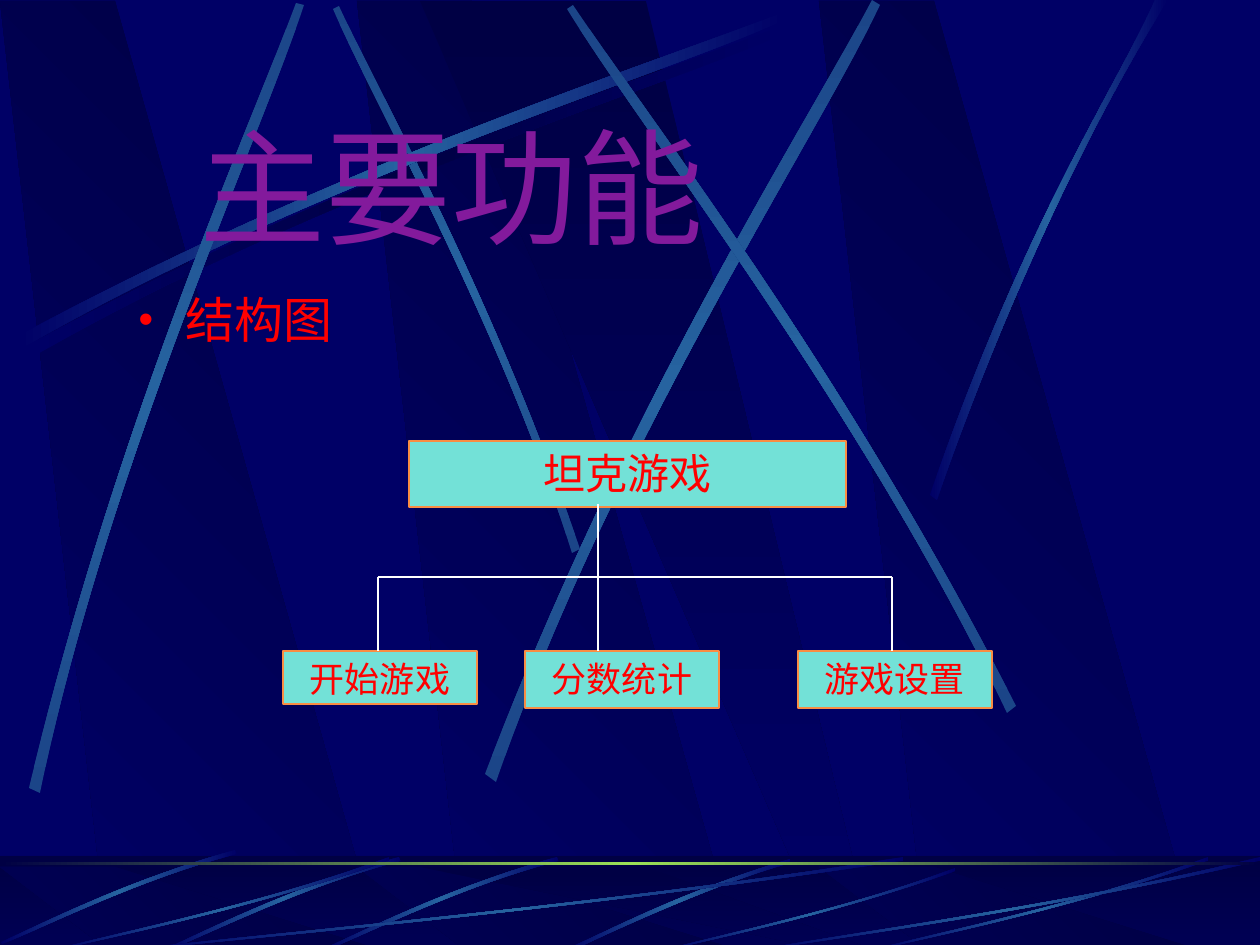
from lxml.etree import SubElement
from pptx import Presentation
from pptx.dml.color import RGBColor
from pptx.enum.shapes import MSO_CONNECTOR as Connector, MSO_SHAPE as Preset
from pptx.enum.text import MSO_ANCHOR as Anchor, MSO_AUTO_SIZE as AutoSize, PP_ALIGN as Align
from pptx.oxml import parse_xml
from pptx.oxml.ns import nsdecls, qn
from pptx.util import Pt

PX = 914400 // 126
WIDTH, HEIGHT = 1260, 945

NAVY = RGBColor(0x00, 0x00, 0x66)
DARK = RGBColor(0x00, 0x00, 0x44)
STEEL = RGBColor(0x26, 0x63, 0xA0)
DIM_STEEL = RGBColor(0x1B, 0x45, 0x88)
LIME = RGBColor(0x9C, 0xE1, 0x57)
PURPLE = RGBColor(0x83, 0x1A, 0x9C)
RED = RGBColor(0xFF, 0x00, 0x00)
AQUA = RGBColor(0x73, 0xE1, 0xD7)
ORANGE = RGBColor(0xF9, 0x8D, 0x43)
WHITE = RGBColor(0xFF, 0xFF, 0xFF)

# A ribbon is two cubic curves: out along one edge, back along the other.
RISING = [(18, 336), (350, 158), (653, 64), (781, 13), (785, 20), (658, 77), (312, 180), (21, 349)]
STEEP = [
    [(580, 549), (493, 295), (381, 97), (339, 6), (333, 9), (372, 100), (501, 325), (572, 553)],
    [(29, 788), (117, 421), (248, 132), (296, 3), (304, 5), (261, 136), (108, 464), (40, 793)],
    [(485, 774), (627, 403), (804, 129), (872, 0), (880, 5), (818, 136), (612, 447), (496, 782)],
    [(1016, 706), (844, 369), (650, 120), (573, 5), (567, 9), (639, 127), (863, 410), (1007, 713)],
]
RIGHT = [(930, 495), (1026, 218), (1119, 83), (1155, 0), (1168, 0), (1053, 183), (969, 406), (937, 500)]
FLOOR_LONG = [(790, 859), (677, 893), (601, 935), (564, 950), (571, 951), (617, 929), (719, 882), (791, 863)]
FLOOR_SHORT = [(557, 857), (447, 888), (362, 932), (323, 949), (324, 951), (363, 936), (460, 886), (559, 861)]
# Fractions of the box that a sweep fills.
SWEEP = [(1, 0.04), (0.57, 0.57), (0.17, 0.85), (0, 1), (0, 0.99), (0.17, 0.82), (0.62, 0.51), (1, 0)]
SWEEP_BOXES = [(126, 857, 777, 94), (53, 857, 336, 94), (664, 868, 291, 83),
               (872, 857, 336, 94), (756, 857, 504, 94)]


def emu(*lengths):
    return [round(length * PX) for length in lengths]


def shift(points, dx, dy):
    return [(x + dx, y + dy) for x, y in points]


def set_gradient(shape, colors, angle):
    """Spread the colours evenly; the angle is clockwise from left to right."""
    shape.fill.background()
    step = 100000 // (len(colors) - 1)
    stops = "".join(f'<a:gs pos="{i * step}"><a:srgbClr val="{color}"/></a:gs>'
                    for i, color in enumerate(colors))
    gradient = parse_xml(f'<a:gradFill {nsdecls("a")} rotWithShape="1"><a:gsLst>{stops}</a:gsLst>'
                         f'<a:lin ang="{angle * 60000}" scaled="0"/></a:gradFill>')
    properties = shape.element.spPr
    properties.replace(properties.find(qn("a:noFill")), gradient)


def add_polygon(shapes, points, colors, angle):
    start, *rest = [emu(*point) for point in points]
    builder = shapes.build_freeform(*start, scale=1.0)
    builder.add_line_segments(rest, close=True)
    shape = builder.convert_to_shape()
    shape.line.fill.background()
    shape.shadow.inherit = False
    set_gradient(shape, colors, angle)
    return shape


def add_rectangle(shapes, box):
    shape = shapes.add_shape(Preset.RECTANGLE, *emu(*box))
    shape.shadow.inherit = False
    shape.line.fill.background()
    return shape


def add_ribbon(shapes, points, end=NAVY, middle=STEEL, angle=0):
    """Draw the outline, then turn both long edges into Bezier curves."""
    shape = add_polygon(shapes, points, [end, middle, end], angle)
    segments = list(shape.element.iter(qn("a:lnTo")))
    for edge in (segments[:3], segments[4:7]):
        outline = edge[0].getparent()
        bend = parse_xml(f'<a:cubicBezTo {nsdecls("a")}/>')
        outline.replace(edge[0], bend)
        for segment in edge:
            bend.append(segment[0])
        for segment in edge[1:]:
            outline.remove(segment)


def add_bands(shapes, top, bottom):
    for x in (357, 0, 819):
        add_polygon(shapes, [(x, top), (x + 115, top), (x + 381, bottom), (x + 108, bottom)],
                    [DARK, NAVY], 135)
    add_polygon(shapes, [(420, top), (646, top), (874, bottom), (829, bottom)], [DARK, NAVY], 90)


def add_sky(shapes):
    add_bands(shapes, 1, 947)
    add_ribbon(shapes, shift(RISING, 8, 10), middle=DARK)
    add_ribbon(shapes, STEEP[0], DIM_STEEL, angle=90)
    add_ribbon(shapes, RISING)
    for points in STEEP[1:]:
        add_ribbon(shapes, points, DIM_STEEL, angle=90)
    add_ribbon(shapes, RIGHT)


def add_floor(shapes, top):
    height = HEIGHT - top
    set_gradient(add_rectangle(shapes, (0, top, WIDTH, height)), [DARK, NAVY], 90)
    add_bands(shapes, top + 11, 950)
    veil = add_rectangle(shapes, (0, top, WIDTH, height))
    veil.fill.solid()
    veil.fill.fore_color.rgb = DARK
    SubElement(veil.element.spPr.find(".//" + qn("a:srgbClr")), qn("a:alpha"), val="50000")

    add_ribbon(shapes, FLOOR_LONG)
    for dx, dy in ((0, 0), (-158, 0), (-322, -7)):
        add_ribbon(shapes, shift(FLOOR_SHORT, dx, dy))
    for left, sweep_top, width, sweep_height in SWEEP_BOXES:
        add_ribbon(shapes, [(left + x * width, sweep_top + y * sweep_height) for x, y in SWEEP])
    set_gradient(add_rectangle(shapes, (0, top + 6, WIDTH, 3)), [DARK, LIME, DARK], 0)


def move_to_master(group, master):
    """Place the group behind the master's placeholders, with ids of its own."""
    for properties in group.element.iter(qn("p:cNvPr")):
        properties.set("id", str(int(properties.get("id")) + 100))
    master.shapes.element.insert(2, group.element)


def fill_placeholder(placeholder, box, text, font_name, size, color):
    placeholder.left, placeholder.top, placeholder.width, placeholder.height = emu(*box)
    frame = placeholder.text_frame
    frame.text = text
    frame.auto_size = AutoSize.NONE
    paragraph = frame.paragraphs[0]
    paragraph.space_before = Pt(0)
    set_font(paragraph, font_name, size, color)
    return frame


def set_font(paragraph, name, size, color):
    font = paragraph.font
    font.name, font.size, font.color.rgb = name, Pt(size), color


def add_bullet(paragraph):
    properties = paragraph._p.get_or_add_pPr()
    properties.set("marL", str(47 * PX))
    properties.set("indent", str(-47 * PX))
    bullet = [f'<a:buClr {nsdecls("a")}><a:srgbClr val="{RED}"/></a:buClr>',
              f'<a:buSzPct {nsdecls("a")} val="85000"/>',
              f'<a:buChar {nsdecls("a")} char="•"/>']
    for part in bullet:
        properties.insert_element_before(parse_xml(part), "a:tabLst", "a:defRPr")


def add_node(shapes, box, text, size):
    node = add_rectangle(shapes, box)
    node.fill.solid()
    node.fill.fore_color.rgb = AQUA
    node.line.color.rgb = ORANGE
    node.line.width = Pt(0.75)
    frame = node.text_frame
    frame.text = text
    frame.vertical_anchor = Anchor.TOP
    paragraph = frame.paragraphs[0]
    paragraph.alignment = Align.CENTER
    set_font(paragraph, "Times New Roman", size, RED)


def add_line(shapes, *ends):
    line = shapes.add_connector(Connector.STRAIGHT, *emu(*ends))
    line.line.color.rgb = WHITE
    line.line.width = Pt(0.75)
    SubElement(line.element.spPr, qn("a:effectLst"))


def add_structure_chart(shapes, left, top):
    root_bottom, rail, child_top = top + 63, top + 136, top + 210
    children = [("开始游戏", 0, 95, 53), ("分数统计", 242, 315, 57), ("游戏设置", 515, 609, 57)]
    for text, x, _, height in children:
        add_node(shapes, (left + x, child_top, 194, height), text, 20)
    add_node(shapes, (left + 126, top, 437, 66), "坦克游戏", 24)
    stems = [left + stem for _, _, stem, _ in children]
    add_line(shapes, stems[1], root_bottom, stems[1], rail)
    add_line(shapes, stems[0], rail, stems[-1], rail)
    for x in stems:
        add_line(shapes, x, rail, x, child_top)


def main():
    presentation = Presentation()
    presentation.slide_width, presentation.slide_height = emu(WIDTH, HEIGHT)
    master = presentation.slide_master
    master.background.fill.solid()
    master.background.fill.fore_color.rgb = NAVY
    slide = presentation.slides.add_slide(presentation.slide_layouts[1])

    backdrop = slide.shapes.add_group_shape()
    add_sky(backdrop.shapes)
    add_floor(backdrop.shapes, 856)
    move_to_master(backdrop, master)

    title = fill_placeholder(slide.shapes.title, (116, 103, 671, 164), "主要功能", "Montserrat", 72, PURPLE)
    title.vertical_anchor = Anchor.MIDDLE
    title.paragraphs[0].alignment = Align.CENTER
    body = fill_placeholder(slide.placeholders[1], (126, 283, 231, 95), "结构图", "Arial", 28, RED)
    body.vertical_anchor = Anchor.TOP
    add_bullet(body.paragraphs[0])
    add_structure_chart(slide.shapes.add_group_shape().shapes, 283, 441)
    presentation.save("out.pptx")


if __name__ == "__main__":
    main()
